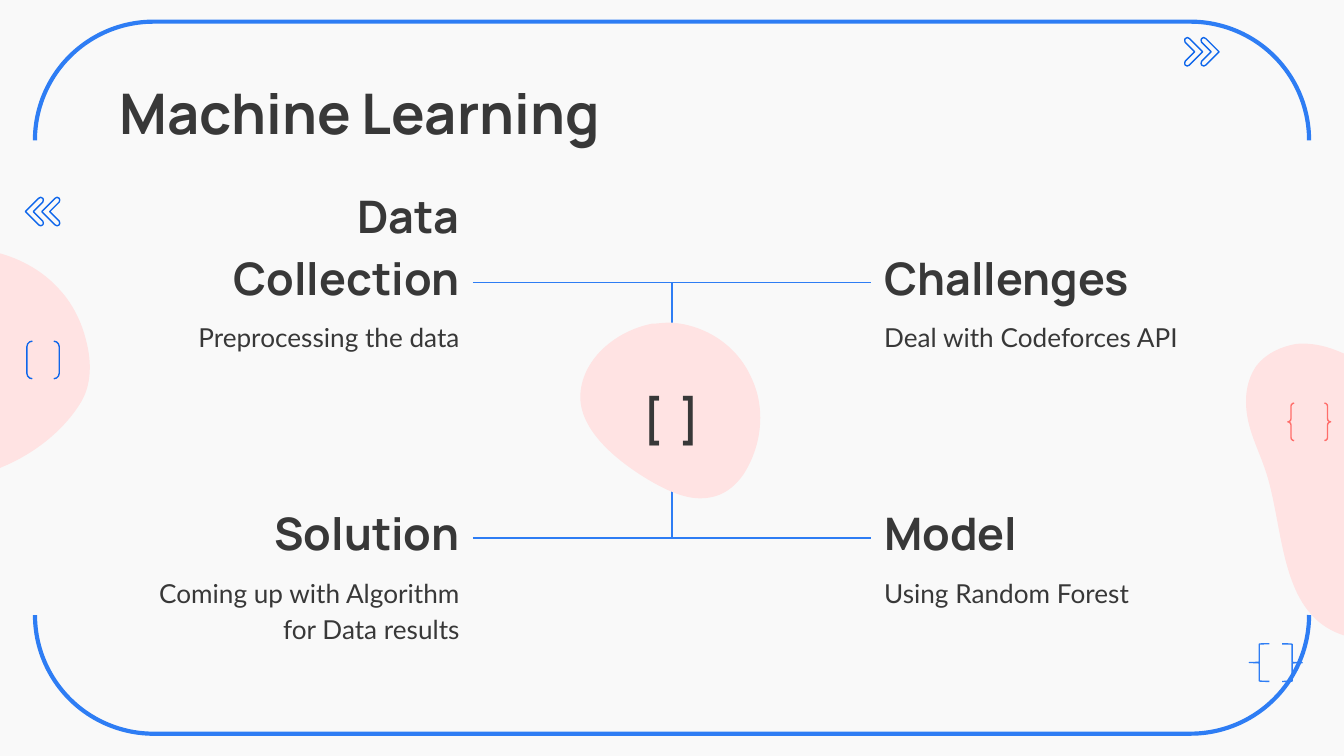
from lxml import etree
from pptx import Presentation
from pptx.dml.color import RGBColor
from pptx.enum.shapes import MSO_CONNECTOR, MSO_SHAPE
from pptx.enum.text import MSO_ANCHOR, MSO_AUTO_SIZE, PP_ALIGN
from pptx.oxml.ns import qn
from pptx.util import Cm, Pt

ELBOW = MSO_CONNECTOR.ELBOW
BRACKETS, BRACES = MSO_SHAPE.DOUBLE_BRACKET, MSO_SHAPE.DOUBLE_BRACE
LEFT_BRACE = MSO_SHAPE.LEFT_BRACE
TOP, BOTTOM = MSO_ANCHOR.TOP, MSO_ANCHOR.BOTTOM
LEFT, CENTER, RIGHT = PP_ALIGN.LEFT, PP_ALIGN.CENTER, PP_ALIGN.RIGHT
NO_AUTOFIT = MSO_AUTO_SIZE.NONE

BACKGROUND, INK, PINK, CORAL = "F9F9F9", "383838", "FFE3E3", "FF6E6B"
BLUE, DEEP_BLUE = "2E7DF4", "0E66EB"
HEADING_FONT, BODY_FONT = "Manrope", "Lato"

# Blob outlines in cm: a start point, then rows of two control points and an end
LEFT_BLOB = [
    (-4.62, 4.24),
    (-4.47, 4.19), (-4.34, 4.14), (-4.19, 4.14), (-3.63, 4.11), (-3.15, 4.5), (-2.62, 4.67),
    (-1.91, 4.9), (-1.22, 4.62), (-0.51, 4.7), (0.13, 4.75), (0.74, 5.03), (1.14, 5.49),
    (1.37, 5.74), (1.55, 6.1), (1.63, 6.45), (1.73, 6.83), (1.73, 7.24), (1.55, 7.57),
    (1.24, 8.1), (0.71, 8.53), (0.13, 8.79), (-0.03, 8.86), (-0.28, 8.97), (-0.51, 8.99),
    (-0.97, 9.09), (-1.45, 9.12), (-1.88, 8.97), (-2.36, 8.79), (-2.69, 8.48), (-3.05, 8.13),
    (-3.45, 7.72), (-3.94, 7.44), (-4.39, 7.09), (-4.83, 6.73), (-5.26, 6.27), (-5.33, 5.69),
    (-5.41, 5.33), (-5.33, 4.95), (-5.13, 4.65), (-4.98, 4.47), (-4.83, 4.32), (-4.62, 4.24),
]
RIGHT_BLOB = [
    (24.51, 6.5),
    (24.21, 6.55), (23.93, 6.68), (23.75, 6.91), (23.55, 7.19), (23.52, 7.54), (23.57, 7.85),
    (23.62, 8.18), (23.77, 8.48), (23.88, 8.79), (24.33, 9.98), (24.08, 11.96), (25.83, 12.09),
    (25.98, 12.12), (26.14, 12.12), (26.26, 12.09), (27.76, 11.94), (28.42, 10.16), (28.07, 8.79),
    (27.97, 8.38), (27.76, 8), (27.48, 7.7), (27.28, 7.49), (27.05, 7.34), (26.8, 7.21),
    (26.57, 7.14), (26.29, 7.09), (26.04, 6.99), (25.78, 6.88), (25.53, 6.73), (25.27, 6.63),
    (25.02, 6.53), (24.77, 6.48), (24.51, 6.5),
]
CENTER_BLOB = [
    (12.62, 6.1),
    (12.52, 6.1), (12.42, 6.12), (12.32, 6.12), (11.66, 6.25), (11.02, 6.76), (10.97, 7.44),
    (10.92, 8.15), (11.73, 8.76), (12.29, 9.09), (12.6, 9.27), (12.93, 9.42), (13.23, 9.42),
    (13.54, 9.42), (13.82, 9.3), (14.05, 8.97), (14.4, 8.43), (14.48, 7.72), (14.2, 7.14),
    (13.94, 6.55), (13.36, 6.15), (12.7, 6.1),
]
# Upper half of a chevron, measured from its tip
CHEVRON = [(0, 0), (0.25, -0.25), (0.29, -0.27), (0.33, -0.25), (0.34, -0.22),
           (0.33, -0.18), (0.15, 0)]


def color(value):
    return RGBColor.from_string(value)


def style(shape, fill=None, line=None, width=0.75):
    """Give a shape a plain fill or outline and no shadow."""
    shape.shadow.inherit = False
    if fill:
        shape.fill.solid()
        shape.fill.fore_color.rgb = color(fill)
    else:
        shape.fill.background()
    if line:
        shape.line.color.rgb = color(line)
        shape.line.width = Pt(width)
    else:
        shape.line.fill.background()


def write(shape, text, font=BODY_FONT, size=14, bold=False, align=LEFT,
          anchor=TOP, spacing=1.15):
    frame = shape.text_frame
    frame.word_wrap = True
    frame.auto_size = NO_AUTOFIT
    frame.vertical_anchor = anchor
    frame.margin_left = frame.margin_right = Cm(0.25)
    frame.margin_top = frame.margin_bottom = Cm(0.25)
    frame.text = text
    paragraph = frame.paragraphs[0]
    paragraph.alignment = align
    paragraph.line_spacing = spacing
    run_font = paragraph.runs[0].font
    run_font.name, run_font.size, run_font.bold = font, Pt(size), bold
    run_font.color.rgb = color(INK)


def add_text(slide, box, text, **text_format):
    write(slide.shapes.add_textbox(*map(Cm, box)), text, **text_format)


def add_symbol(slide, kind, box, line, width=0.75, rotation=0, adjustment=None):
    shape = slide.shapes.add_shape(kind, *map(Cm, box))
    style(shape, line=line, width=width)
    shape.rotation = rotation
    if adjustment is not None:
        shape.adjustments[0] = adjustment


def add_outline(slide, points, **look):
    start, *others = [(Cm(x), Cm(y)) for x, y in points]
    builder = slide.shapes.build_freeform(*start)
    builder.add_line_segments(others, close=True)
    shape = builder.convert_to_shape()
    style(shape, **look)
    return shape


def add_blob(slide, points):
    """Draw the outline, then turn each three segments into one cubic curve."""
    shape = add_outline(slide, points, fill=PINK)
    segments = list(shape._element.iter(qn("a:lnTo")))
    for first, second, third in zip(*[iter(segments)] * 3):
        first.tag = qn("a:cubicBezTo")
        for segment in (second, third):
            first.append(segment[0])
            segment.getparent().remove(segment)


def add_chevrons(slide, tip_x, tip_y, direction):
    """Draw two chevrons; direction 1 points left, -1 points right."""
    lower_half = [(x, -y) for x, y in CHEVRON[-2:0:-1]]
    for offset in (0, 0.31):
        add_outline(slide, [(tip_x + direction * (x + offset), tip_y + y)
                            for x, y in CHEVRON + lower_half], line=DEEP_BLUE)


def add_elbow(slide, start_x, start_y, end_x, end_y):
    """Run level from the start, then turn once to the end."""
    connector = slide.shapes.add_connector(ELBOW, *map(Cm, (start_x, start_y, end_x, end_y)))
    connector.line.color.rgb = color(BLUE)
    connector.line.width = Pt(0.75)
    properties = connector._element.spPr
    properties.find(qn("a:prstGeom")).set("prst", "bentConnector2")
    etree.SubElement(properties, qn("a:effectLst"))


def add_decoration(slide):
    add_symbol(slide, BRACKETS, (5.97, -4.9, 13.46, 24.08), BLUE, width=2.25, rotation=90)
    add_blob(slide, LEFT_BLOB)
    add_blob(slide, RIGHT_BLOB)
    for left, rotation in ((23.61, 0), (24.23, 180)):
        add_symbol(slide, LEFT_BRACE, (left, 12.17, 0.38, 0.71), BLUE,
                   rotation=rotation, adjustment=0.02)
    add_symbol(slide, BRACKETS, (0.51, 6.45, 0.61, 0.71), DEEP_BLUE)
    add_chevrons(slide, 0.48, 4, 1)
    add_chevrons(slide, 23.04, 0.98, -1)
    add_symbol(slide, BRACES, (24.34, 7.62, 0.81, 0.71), CORAL)


def add_topic(slide, left, top, align, heading, detail, extra=0):
    """Write a heading with its detail; extra widens the heading leftwards."""
    add_text(slide, (left - extra, top, 6.25 + extra, 1.32), heading, font=HEADING_FONT,
             size=24, bold=True, align=align, anchor=BOTTOM)
    add_text(slide, (left, top + 1.06, 6.25, 1.55), detail, align=align)


def main():
    presentation = Presentation()
    presentation.slide_width, presentation.slide_height = Cm(25.4), Cm(14.29)
    slide = presentation.slides.add_slide(presentation.slide_layouts[5])
    slide.background.fill.solid()
    slide.background.fill.fore_color.rgb = color(BACKGROUND)
    add_decoration(slide)

    # Title
    title = slide.shapes.title
    title.left, title.top, title.width, title.height = map(Cm, (2.01, 1.24, 21.41, 1.6))
    write(title, "Machine Learning", font=HEADING_FONT, size=30, bold=True, spacing=1)

    # Four topics
    upper, lower, left, right = 4.68, 9.51, 2.69, 16.46
    add_topic(slide, left, upper, RIGHT, "Data Collection", "Preprocessing the data", extra=0.58)
    add_topic(slide, right, upper, LEFT, "Challenges", "Deal with Codeforces API")
    add_topic(slide, left, lower, RIGHT, "Solution", "Coming up with Algorithm for Data results")
    add_topic(slide, right, lower, LEFT, "Model", "Using Random Forest")

    # Branches from the topics to the hub
    for top, hub_edge in ((upper, 7.01), (lower, 8.51)):
        for edge in (right, left + 6.25):
            add_elbow(slide, edge, top + 0.66, 12.7, hub_edge)

    # Hub
    add_blob(slide, CENTER_BLOB)
    add_text(slide, (11.41, 6.85, 2.57, 1.83), "[  ]", font=HEADING_FONT, size=24,
             bold=True, align=CENTER, anchor=BOTTOM)

    presentation.save("out.pptx")


if __name__ == "__main__":
    main()
